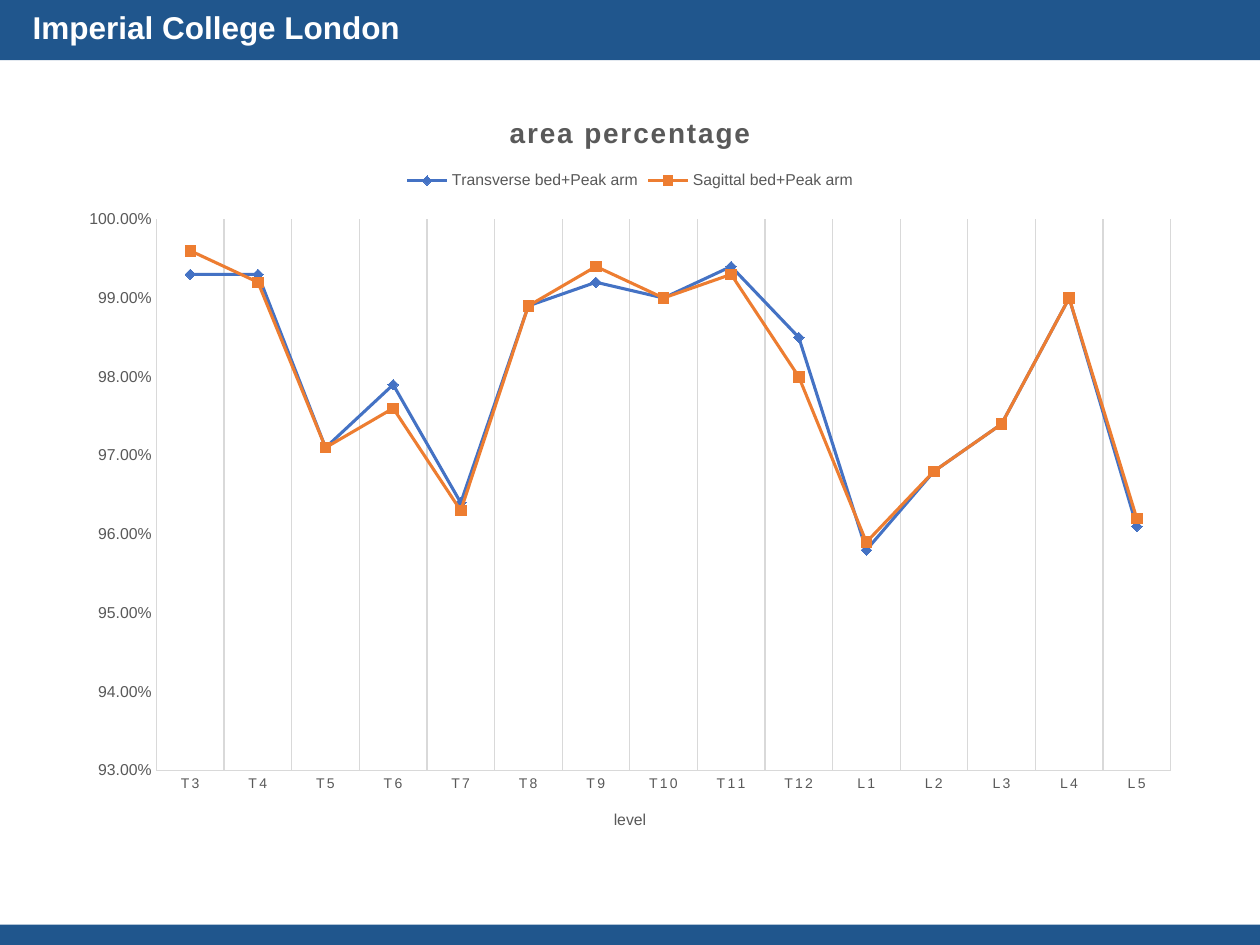
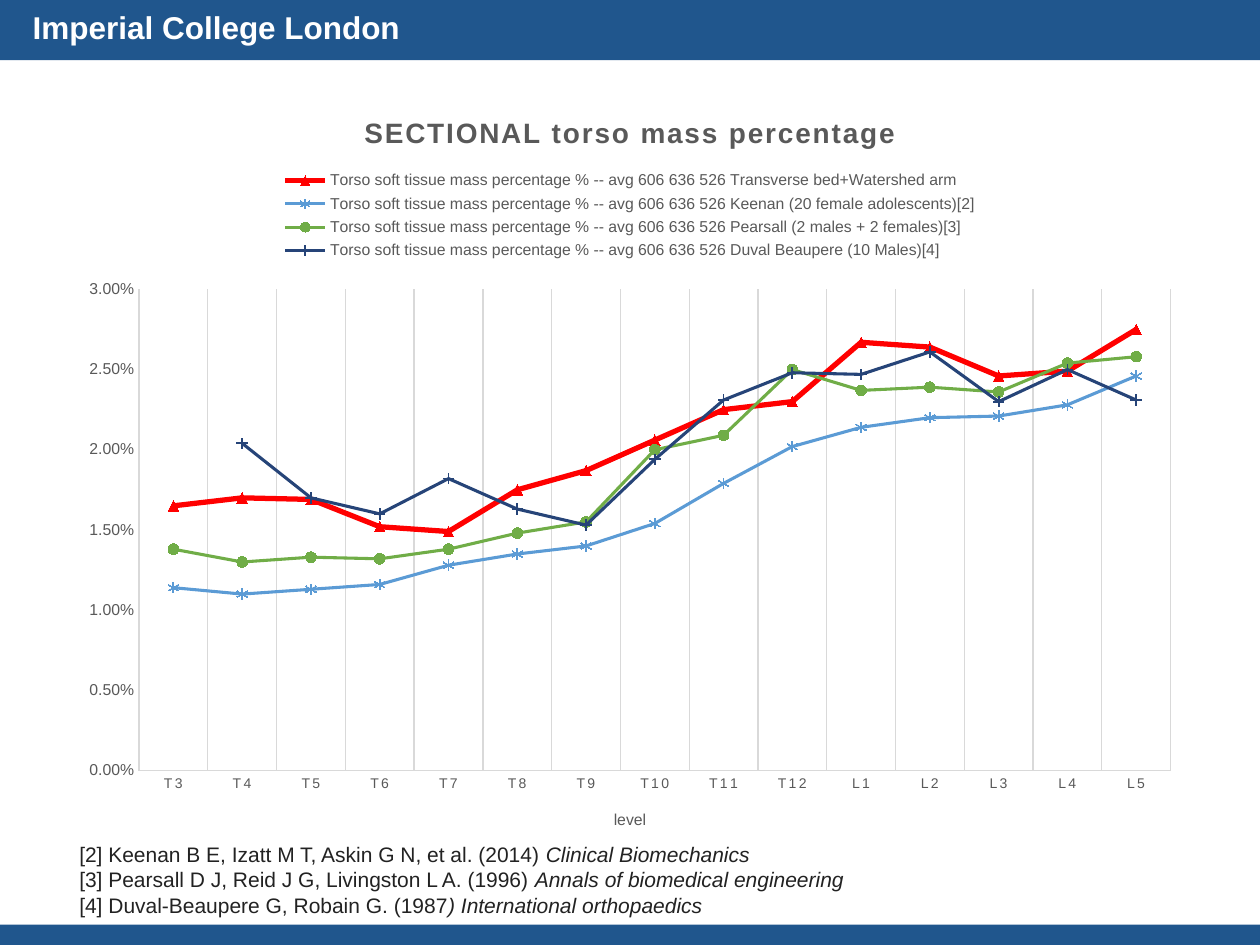
from dataclasses import dataclass

from pptx import Presentation
from pptx.chart.data import CategoryChartData
from pptx.dml.color import RGBColor
from pptx.enum import chart as ch, shapes, text
from pptx.util import Pt


@dataclass(frozen=True)
class Theme:
    font: str = "Arial"
    band: str = "20568D"
    white: str = "FFFFFF"
    chart_text: str = "595959"
    rule: str = "D9D9D9"
    reference: str = "222222"
    blue: str = "4472C4"
    orange: str = "ED7D31"
    red: str = "FF0000"
    light_blue: str = "5B9BD5"
    green: str = "70AD47"
    navy: str = "264478"
    header_size: float = 18
    chart_title_size: float = 16
    reference_size: float = 12
    label_size: float = 9
    level_size: float = 8
    rule_width: float = 0.75
    series_width: float = 1.75
    accent_width: float = 3
    marker_size: int = 6


@dataclass(frozen=True)
class Series:
    name: str
    values: tuple
    color: str
    marker: ch.XL_MARKER_STYLE
    width: float = Theme.series_width
    filled: bool = True


T = Theme()
M = ch.XL_MARKER_STYLE
SLIDE_W, SLIDE_H = 720, 540
HEADER_BOX = (0, -3, SLIDE_W, 37.4)
FOOTER_BOX = (0, 528.4, SLIDE_W, 11.6)
CHART_BOX = (38.2, 50.4, 643.6, 438.4)
REFERENCES_BOX = (38.2, 477.4, 679.6, 51)

LEVELS = [f"T{n}" for n in range(3, 13)] + [f"L{n}" for n in range(1, 6)]

AREA = [
    Series("Transverse bed+Peak arm",
           (0.993, 0.993, 0.971, 0.979, 0.964, 0.989, 0.992, 0.99, 0.994,
            0.985, 0.958, 0.968, 0.974, 0.99, 0.961), T.blue, M.DIAMOND),
    Series("Sagittal bed+Peak arm",
           (0.996, 0.992, 0.971, 0.976, 0.963, 0.989, 0.994, 0.99, 0.993,
            0.98, 0.959, 0.968, 0.974, 0.99, 0.962), T.orange, M.SQUARE),
]

MASS_PREFIX = "Torso soft tissue mass percentage % -- avg 606 636 526 "
MASS = [
    Series(MASS_PREFIX + "Transverse bed+Watershed arm",
           (0.0165, 0.017, 0.0169, 0.0152, 0.0149, 0.0175, 0.0187, 0.0206,
            0.0225, 0.023, 0.0267, 0.0264, 0.0246, 0.0249, 0.0275),
           T.red, M.TRIANGLE, T.accent_width),
    Series(MASS_PREFIX + "Keenan (20 female adolescents)[2]",
           (0.0114, 0.011, 0.0113, 0.0116, 0.0128, 0.0135, 0.014, 0.0154,
            0.0179, 0.0202, 0.0214, 0.022, 0.0221, 0.0228, 0.0246),
           T.light_blue, M.STAR, filled=False),
    Series(MASS_PREFIX + "Pearsall (2 males + 2 females)[3]",
           (0.0138, 0.013, 0.0133, 0.0132, 0.0138, 0.0148, 0.0155, 0.02,
            0.0209, 0.025, 0.0237, 0.0239, 0.0236, 0.0254, 0.0258),
           T.green, M.CIRCLE),
    Series(MASS_PREFIX + "Duval Beaupere (10 Males)[4]",
           (None, 0.0204, 0.017, 0.016, 0.0182, 0.0163, 0.0153, 0.0194,
            0.0231, 0.0248, 0.0247, 0.0261, 0.023, 0.025, 0.0231),
           T.navy, M.PLUS, filled=False),
]

REFERENCES = [
    ("[2] Keenan B E, Izatt M T, Askin G N, et al. (2014) ",
     "Clinical Biomechanics"),
    ("[3] Pearsall D J, Reid J G, Livingston L A. (1996) ",
     "Annals of biomedical engineering"),
    ("[4] Duval-Beaupere G, Robain G. (1987", ") International orthopaedics"),
]


def rgb(color):
    return RGBColor.from_string(color)


def pts(box):
    return [Pt(v) for v in box]


def set_font(font, size, color, bold=False):
    font.name, font.size, font.bold = T.font, Pt(size), bold
    font.color.rgb = rgb(color)


def set_line(line, color, width):
    line.color.rgb = rgb(color)
    line.width = Pt(width)


def track(font, hundredths=120):
    """Space the letters out, in hundredths of a point."""
    font._rPr.set("spc", str(hundredths))


def add_band(s, box):
    sp = s.shapes.add_shape(shapes.MSO_SHAPE.RECTANGLE, *pts(box))
    sp.shadow.inherit = False
    sp.fill.solid()
    sp.fill.fore_color.rgb = rgb(T.band)
    sp.line.fill.background()


def add_header(s, box):
    add_band(s, box)
    x, y = box[:2]
    tf = s.shapes.add_textbox(*pts((x + 10.2, y + 3.8, 227, 29))).text_frame
    tf.word_wrap = False
    p = tf.paragraphs[0]
    p.text = "Imperial College London"
    p.alignment = text.PP_ALIGN.CENTER
    set_font(p.font, T.header_size, T.white, bold=True)


def new_slide(prs):
    s = prs.slides.add_slide(prs.slide_layouts[6])
    add_header(s, HEADER_BOX)
    add_band(s, FOOTER_BOX)
    return s


def style_series(plot_series, series):
    plot_series.smooth = False
    set_line(plot_series.format.line, series.color, series.width)
    marker = plot_series.marker
    marker.style, marker.size = series.marker, T.marker_size
    set_line(marker.format.line, series.color, T.rule_width)
    if series.filled:
        marker.format.fill.solid()
        marker.format.fill.fore_color.rgb = rgb(series.color)
    else:
        marker.format.fill.background()


def style_axes(chart, low, high, step):
    levels, values = chart.category_axis, chart.value_axis
    for axis, size in ((levels, T.level_size), (values, T.label_size)):
        axis.major_tick_mark = axis.minor_tick_mark = ch.XL_TICK_MARK.NONE
        set_line(axis.format.line, T.rule, T.rule_width)
        set_font(axis.tick_labels.font, size, T.chart_text)
    track(levels.tick_labels.font)
    levels.has_major_gridlines = True
    set_line(levels.major_gridlines.format.line, T.rule, T.rule_width)
    p = levels.axis_title.text_frame.paragraphs[0]
    p.text = "level"
    set_font(p.font, T.label_size, T.chart_text)

    values.has_major_gridlines = False
    values.minimum_scale, values.maximum_scale = low, high
    values.major_unit = step
    values.tick_labels.number_format = "0.00%"
    values.tick_labels.number_format_is_linked = False


def add_level_chart(s, box, title, series_list, scale):
    """Line chart by spine level; scale is the low, high and step of values."""
    data = CategoryChartData(number_format="0.00%")
    data.categories = LEVELS
    for series in series_list:
        data.add_series(series.name, series.values)
    chart = s.shapes.add_chart(ch.XL_CHART_TYPE.LINE_MARKERS,
                               *pts(box), data).chart
    set_font(chart.font, T.label_size, T.chart_text)
    chart.has_title = True
    p = chart.chart_title.text_frame.paragraphs[0]
    p.text = title
    set_font(p.font, T.chart_title_size, T.chart_text, bold=True)
    track(p.font)

    chart.has_legend = True
    chart.legend.position = ch.XL_LEGEND_POSITION.TOP
    chart.legend.include_in_layout = False
    set_font(chart.legend.font, T.label_size, T.chart_text)

    plot = chart.plots[0]
    plot.vary_by_categories = False
    for plot_series, series in zip(plot.series, series_list):
        style_series(plot_series, series)
    style_axes(chart, *scale)


def add_references(s, box):
    tf = s.shapes.add_textbox(*pts(box)).text_frame
    tf.word_wrap = True
    for i, (authors, journal) in enumerate(REFERENCES):
        p = tf.add_paragraph() if i else tf.paragraphs[0]
        for words, italic in ((authors, False), (journal, True)):
            r = p.add_run()
            r.text = words
            set_font(r.font, T.reference_size, T.reference)
            r.font.italic = italic


def main():
    prs = Presentation()
    prs.slide_width, prs.slide_height = Pt(SLIDE_W), Pt(SLIDE_H)

    s = new_slide(prs)
    add_level_chart(s, CHART_BOX, "area percentage", AREA, (0.93, 1, 0.01))

    s = new_slide(prs)
    add_level_chart(s, CHART_BOX, "SECTIONAL torso mass percentage", MASS,
                    (0, 0.03, 0.005))
    add_references(s, REFERENCES_BOX)

    prs.save("out.pptx")


if __name__ == "__main__":
    main()
